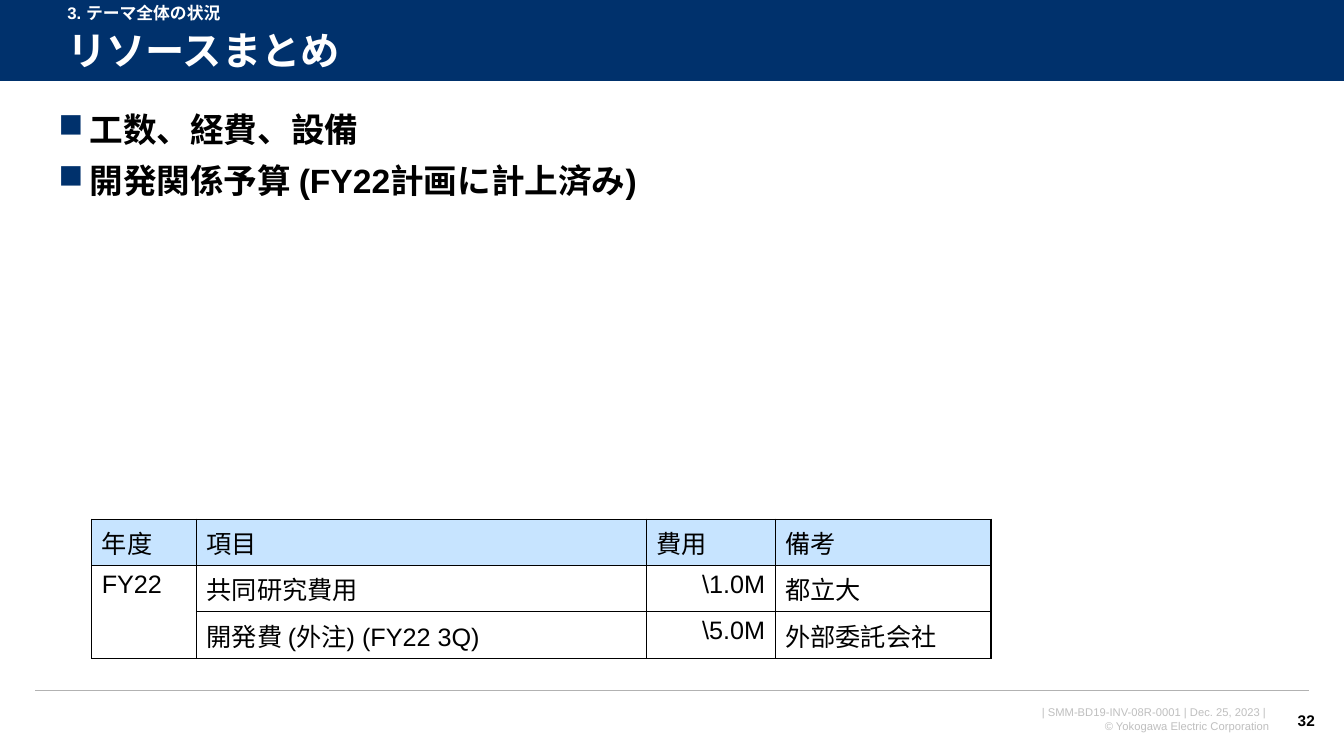
from lxml import etree
from pptx import Presentation
from pptx.dml.color import RGBColor
from pptx.enum.shapes import MSO_CONNECTOR, MSO_SHAPE
from pptx.enum.text import MSO_ANCHOR, PP_ALIGN
from pptx.oxml.ns import qn
from pptx.util import Inches, Pt

LINE, RECT = MSO_CONNECTOR.STRAIGHT, MSO_SHAPE.RECTANGLE
TOP, MID = MSO_ANCHOR.TOP, MSO_ANCHOR.MIDDLE
LEFT, RIGHT = PP_ALIGN.LEFT, PP_ALIGN.RIGHT

# Content
CHAPTER = "3. テーマ全体の状況"
TITLE = "リソースまとめ"
POINTS = ["工数、経費、設備", "開発関係予算 (FY22計画に計上済み)"]
BUDGET = [
    ("年度", "項目", "費用", "備考"),
    ("FY22", "共同研究費用", "\\1.0M", "都立大"),
    ("", "開発費 (外注) (FY22 3Q)", "\\5.0M", "外部委託会社"),
]
FOOTER = ["| SMM-BD19-INV-08R-0001 | Dec. 25, 2023 | ",
          "© Yokogawa Electric Corporation"]
PAGE = "32"

# Look
HEX = {"navy": "00316C", "white": "FFFFFF", "black": "000000",
       "sky": "C7E4FF", "rule": "B2B2B2", "pale": "BFBFBF"}
WIDE, HIGH = 13.33, 7.5
BAND = 0.81
FOOT = 6.95
COLS = (1.04, 4.46, 1.28, 2.14)
ROW = 0.46
COST = 2
HANG = 0.31
FONTS = {
    "chapter": dict(size=12, color="white", bold=True),
    "title": dict(size=28, color="white", bold=True),
    "point": dict(size=24, color="black", bold=True),
    "cell": dict(size=18, color="black", bold=False),
    "footer": dict(size=8, color="pale", bold=False),
    "page": dict(size=11, color="black", bold=True),
}


def rgb(name):
    return RGBColor.from_string(HEX[name])


def style(para, look, align=LEFT):
    para.alignment = align
    form = FONTS[look]
    for run in para.runs:
        values = {"name": "Arial", "size": Pt(form["size"]), "bold": form["bold"]}
        for key, value in values.items():
            setattr(run.font, key, value)
        run.font.color.rgb = rgb(form["color"])


def write(slide, area, lines, look, align=LEFT, anchor=TOP, wrap=True, gap=None):
    frame = slide.shapes.add_textbox(*map(Inches, area)).text_frame
    frame.word_wrap = wrap
    frame.vertical_anchor = anchor
    for i, line in enumerate(lines):
        para = frame.add_paragraph() if i else frame.paragraphs[0]
        para.add_run().text = line
        style(para, look, align)
        if gap:
            para.line_spacing = gap
    return frame


def rule(slide, x1, x2, y, color, width):
    line = slide.shapes.add_connector(LINE, *map(Inches, (x1, y, x2, y)))
    line.line.color.rgb = rgb(color)
    line.line.width = Pt(width)
    etree.SubElement(line._element.spPr, qn("a:effectLst"))


def bullet(para):
    props = para._p.get_or_add_pPr()
    props.set("marL", str(Inches(HANG)))
    props.set("indent", str(-Inches(HANG)))
    tint = etree.SubElement(props, qn("a:buClr"))
    etree.SubElement(tint, qn("a:srgbClr"), val=HEX["navy"])
    etree.SubElement(props, qn("a:buChar"), char="■")


def border(cell):
    props = cell._tc.get_or_add_tcPr()
    for side in ("lnL", "lnR", "lnT", "lnB"):
        edge = etree.SubElement(props, qn("a:" + side), w=str(Pt(1)))
        fill = etree.SubElement(edge, qn("a:solidFill"))
        etree.SubElement(fill, qn("a:srgbClr"), val=HEX["black"])


def budget(slide):
    area = (0.91, 5.15, sum(COLS), ROW * len(BUDGET))
    table = slide.shapes.add_table(len(BUDGET), len(COLS), *map(Inches, area)).table
    table.horz_banding = False
    for col, width in zip(table.columns, COLS):
        col.width = Inches(width)
    for r, row in enumerate(BUDGET):
        table.rows[r].height = Inches(ROW)
        for c, text in enumerate(row):
            cell = table.cell(r, c)
            border(cell)
            cell.fill.solid()
            cell.fill.fore_color.rgb = rgb("white" if r else "sky")
            para = cell.text_frame.paragraphs[0]
            if text:
                para.add_run().text = text
            style(para, "cell", RIGHT if r and c == COST else LEFT)
    table.cell(1, 0).merge(table.cell(2, 0))


def main():
    deck = Presentation()
    deck.slide_width, deck.slide_height = Inches(WIDE), Inches(HIGH)
    slide = deck.slides.add_slide(deck.slide_layouts[6])

    # Header band and rules
    band = slide.shapes.add_shape(RECT, 0, 0, Inches(WIDE), Inches(BAND))
    band.shadow.inherit = False
    band.fill.solid()
    band.fill.fore_color.rgb = rgb("navy")
    band.line.fill.background()
    rule(slide, 0, WIDE, BAND, "white", 0.75)
    rule(slide, 0.35, WIDE - 0.35, 6.85, "rule", 1)

    # Headings
    write(slide, (0.57, 0.24, 12.47, 0.57), [TITLE], "title", anchor=MID, gap=0.9)
    write(slide, (0.57, 0, 7.87, 0.28), [CHAPTER], "chapter", gap=0.9)

    # Bullet points
    body = write(slide, (0.48, 1.08, 12.37, 1.29), POINTS, "point", gap=0.9)
    for i, para in enumerate(body.paragraphs):
        bullet(para)
        if i:
            para.space_before = Pt(10)

    budget(slide)

    # Footer
    write(slide, (9.48, FOOT, 3.21, 0.37), FOOTER, "footer", RIGHT)
    write(slide, (12.7, FOOT, 0.44, 0.4), [PAGE], "page", RIGHT, MID, False)

    deck.save("out.pptx")


if __name__ == "__main__":
    main()
